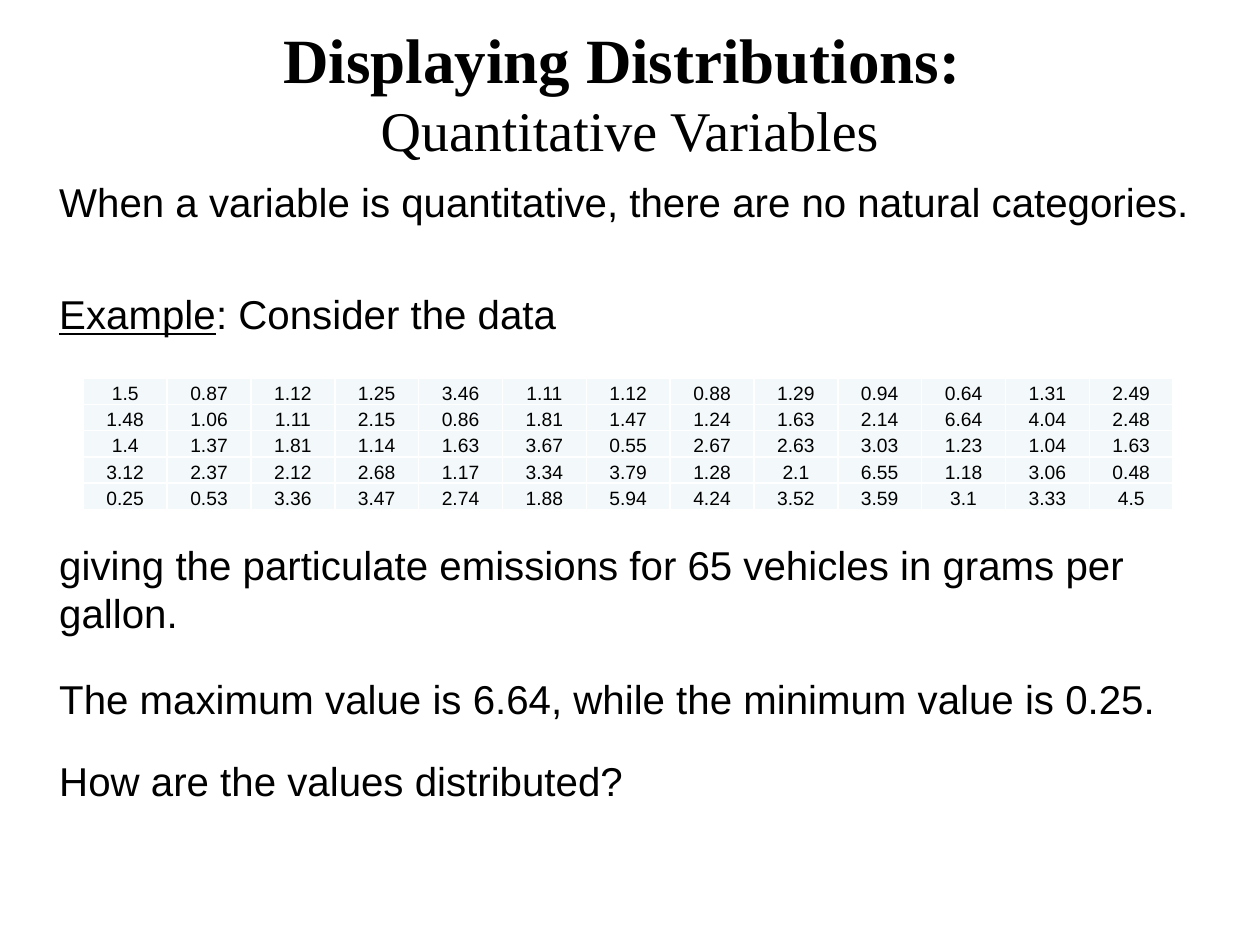
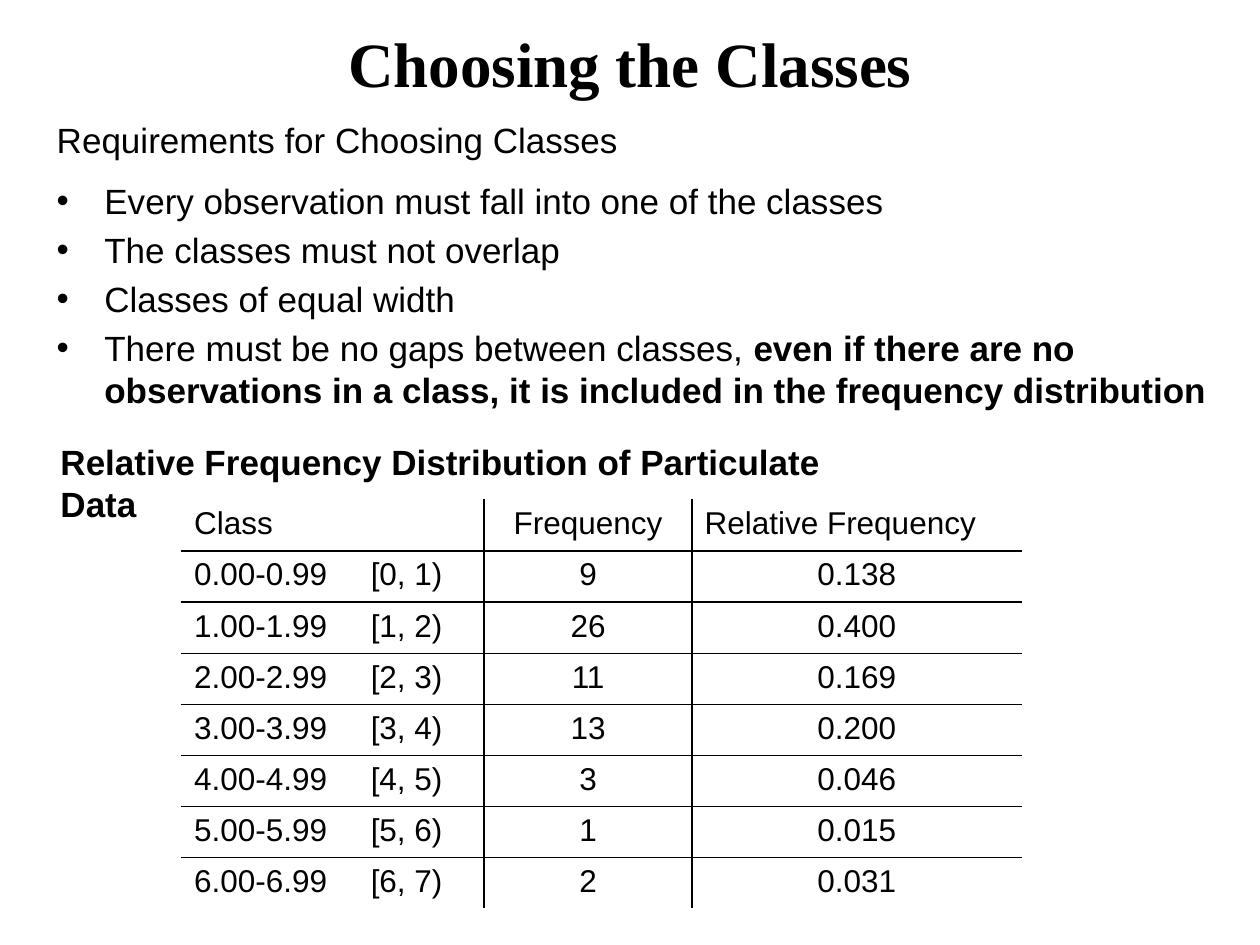
from lxml.etree import SubElement
from pptx import Presentation
from pptx.dml.color import RGBColor
from pptx.enum.text import MSO_ANCHOR, MSO_AUTO_SIZE, PP_ALIGN
from pptx.oxml.ns import qn
from pptx.util import Cm, Pt

BLACK, WHITE, PALE = "000000", "FFFFFF", "F3F9FA"
TITLE_FONT, BODY_FONT = "Times New Roman", "Arial"
BULLET_INDENT = Cm(0.96)
INTERVAL_TAB = Cm(3.56)

EMISSIONS = [row.split() for row in (
    "1.5 0.87 1.12 1.25 3.46 1.11 1.12 0.88 1.29 0.94 0.64 1.31 2.49",
    "1.48 1.06 1.11 2.15 0.86 1.81 1.47 1.24 1.63 2.14 6.64 4.04 2.48",
    "1.4 1.37 1.81 1.14 1.63 3.67 0.55 2.67 2.63 3.03 1.23 1.04 1.63",
    "3.12 2.37 2.12 2.68 1.17 3.34 3.79 1.28 2.1 6.55 1.18 3.06 0.48",
    "0.25 0.53 3.36 3.47 2.74 1.88 5.94 4.24 3.52 3.59 3.1 3.33 4.5",
)]
FREQUENCIES = [
    (9, "0.138"), (26, "0.400"), (11, "0.169"), (13, "0.200"),
    (3, "0.046"), (1, "0.015"), (2, "0.031"),
]


def rgb(hex_string):
    return RGBColor.from_string(hex_string)


def apply(target, **values):
    for name, value in values.items():
        setattr(target, name, value)


def add_run(paragraph, text, size, font=BODY_FONT, **extra):
    run = paragraph.add_run()
    run.text = text
    apply(run.font, **{"name": font, "size": Pt(size), "bold": False, **extra})
    run.font.color.rgb = rgb(BLACK)


def place(shape, left, top, width, height):
    apply(shape, left=Cm(left), top=Cm(top), width=Cm(width), height=Cm(height))


def add_title(slide, box, heading, subheading=None):
    title = slide.shapes.title
    place(title, *box)
    apply(title.text_frame, auto_size=MSO_AUTO_SIZE.NONE, word_wrap=True,
          vertical_anchor=MSO_ANCHOR.MIDDLE)
    paragraph = title.text_frame.paragraphs[0]
    paragraph.alignment = PP_ALIGN.CENTER
    add_run(paragraph, heading, 36, TITLE_FONT, bold=True)
    if subheading:
        paragraph.add_line_break()
        add_run(paragraph, subheading, 32, TITLE_FONT)


def set_bullet(paragraph, bulleted):
    properties = paragraph._p.get_or_add_pPr()
    indent = BULLET_INDENT if bulleted else 0
    properties.set("marL", str(indent))
    properties.set("indent", str(-indent))
    if bulleted:
        SubElement(properties, qn("a:buChar"), char="•")
    else:
        SubElement(properties, qn("a:buNone"))


def add_body(slide, box, size, items):
    """Each item is (space before in points, bulleted, [(text, font values), ...])."""
    body = slide.placeholders[1]
    place(body, *box)
    frame = body.text_frame
    apply(frame, auto_size=MSO_AUTO_SIZE.NONE, word_wrap=True,
          vertical_anchor=MSO_ANCHOR.TOP)
    for index, (gap, bulleted, runs) in enumerate(items):
        paragraph = frame.add_paragraph() if index else frame.paragraphs[0]
        paragraph.space_before = Pt(gap)
        set_bullet(paragraph, bulleted)
        for text, extra in runs:
            add_run(paragraph, text, size, **extra)


def add_caption(slide, box, text):
    caption = slide.shapes.add_textbox(*map(Cm, box))
    caption.text_frame.word_wrap = True
    add_run(caption.text_frame.paragraphs[0], text, 20, bold=True)


def set_borders(cell, edges, color):
    """Draw 1 pt lines on the given edges, a string of letters from LRTB."""
    properties = cell._tc.get_or_add_tcPr()
    for index, edge in enumerate(e for e in "LRTB" if e in edges):
        line = SubElement(properties, qn(f"a:ln{edge}"), w=str(Pt(1)))
        SubElement(SubElement(line, qn("a:solidFill")), qn("a:srgbClr"), val=color)
        properties.insert(index, line)


def add_plain_table(slide, left, top, column_widths, row_height, row_count):
    table = slide.shapes.add_table(
        row_count, len(column_widths), Cm(left), Cm(top),
        Cm(sum(column_widths)), Cm(row_height * row_count)).table
    apply(table, first_row=False, horz_banding=False)
    for column, width in zip(table.columns, column_widths):
        column.width = Cm(width)
    for row in table.rows:
        row.height = Cm(row_height)
    return table


def add_emissions_table(slide):
    widths = [1.69] * len(EMISSIONS[0])
    table = add_plain_table(slide, 1.68, 7.62, widths, 0.53, len(EMISSIONS))
    margin = Cm(0.02)
    for r, values in enumerate(EMISSIONS):
        for c, value in enumerate(values):
            cell = table.cell(r, c)
            apply(cell, vertical_anchor=MSO_ANCHOR.BOTTOM, margin_left=margin,
                  margin_right=margin, margin_top=margin, margin_bottom=0)
            cell.fill.solid()
            cell.fill.fore_color.rgb = rgb(PALE)
            set_borders(cell, "LRTB", WHITE)
            paragraph = cell.text_frame.paragraphs[0]
            paragraph.alignment = PP_ALIGN.CENTER
            add_run(paragraph, value, 11)


def add_tab_stop(paragraph, position):
    tabs = SubElement(paragraph._p.get_or_add_pPr(), qn("a:tabLst"))
    SubElement(tabs, qn("a:tab"), pos=str(position), algn="l")


def add_frequency_table(slide):
    rows = [("Class", "Frequency", "Relative Frequency")]
    rows += [(f"{low}.00-{low}.99\t[{low}, {low + 1})", str(count), share)
             for low, (count, share) in enumerate(FREQUENCIES)]
    table = add_plain_table(slide, 3.66, 10.08, [6.1, 4.19, 6.64], 1.03, len(rows))
    last_row, last_column = len(rows) - 1, len(rows[0]) - 1
    for r, values in enumerate(rows):
        for c, value in enumerate(values):
            cell = table.cell(r, c)
            cell.fill.background()
            inner_edges = (("L" if c else "") + ("R" if c < last_column else "")
                           + ("T" if r else "") + ("B" if r < last_row else ""))
            set_borders(cell, inner_edges, BLACK)
            paragraph = cell.text_frame.paragraphs[0]
            if c == 1 or (c == 2 and r):
                paragraph.alignment = PP_ALIGN.CENTER
            if "\t" in value:
                add_tab_stop(paragraph, INTERVAL_TAB)
            add_run(paragraph, value, 18)


def build_distributions_slide(slide):
    add_title(slide, (1.27, 0.36, 22.86, 2.97),
              "Displaying Distributions: ", "Quantitative Variables")
    add_body(slide, (0.94, 3.45, 24.08, 15.11), 23, [
        (0, False, [("When a variable is quantitative, there are no natural categories.", {})]),
        (36.6, False, [("Example", {"underline": True}), (": Consider the data", {})]),
        (115.4, False, [("giving the particulate emissions for 65 vehicles "
                         "in grams per gallon.", {})]),
        (21.7, False, [("The maximum value is 6.64, while the minimum value is 0.25.", {})]),
        (19.4, False, [("How are the values distributed?", {})]),
    ])
    add_emissions_table(slide)


def build_classes_slide(slide):
    add_title(slide, (1.27, 0.3, 22.86, 1.91), "Choosing the Classes")
    add_body(slide, (0.89, 2.26, 24, 9.07), 20, [
        (0, False, [("Requirements for Choosing Classes", {})]),
        (11, True, [("Every observation must fall into one of the classes", {})]),
        (4, True, [("The classes must not overlap", {})]),
        (4, True, [("Classes of equal width", {})]),
        (4, True, [("There must be no gaps between classes, ", {}),
                   ("even if there are no observations in a class, "
                    "it is included in the frequency distribution", {"bold": True})]),
    ])
    add_frequency_table(slide)
    add_caption(slide, (0.97, 8.76, 16.46, 1.12),
                "Relative Frequency Distribution of Particulate Data")


def main():
    deck = Presentation()
    apply(deck, slide_width=Cm(25.4), slide_height=Cm(19.05))
    for build in (build_distributions_slide, build_classes_slide):
        build(deck.slides.add_slide(deck.slide_layouts[1]))
    deck.save("out.pptx")


if __name__ == "__main__":
    main()
